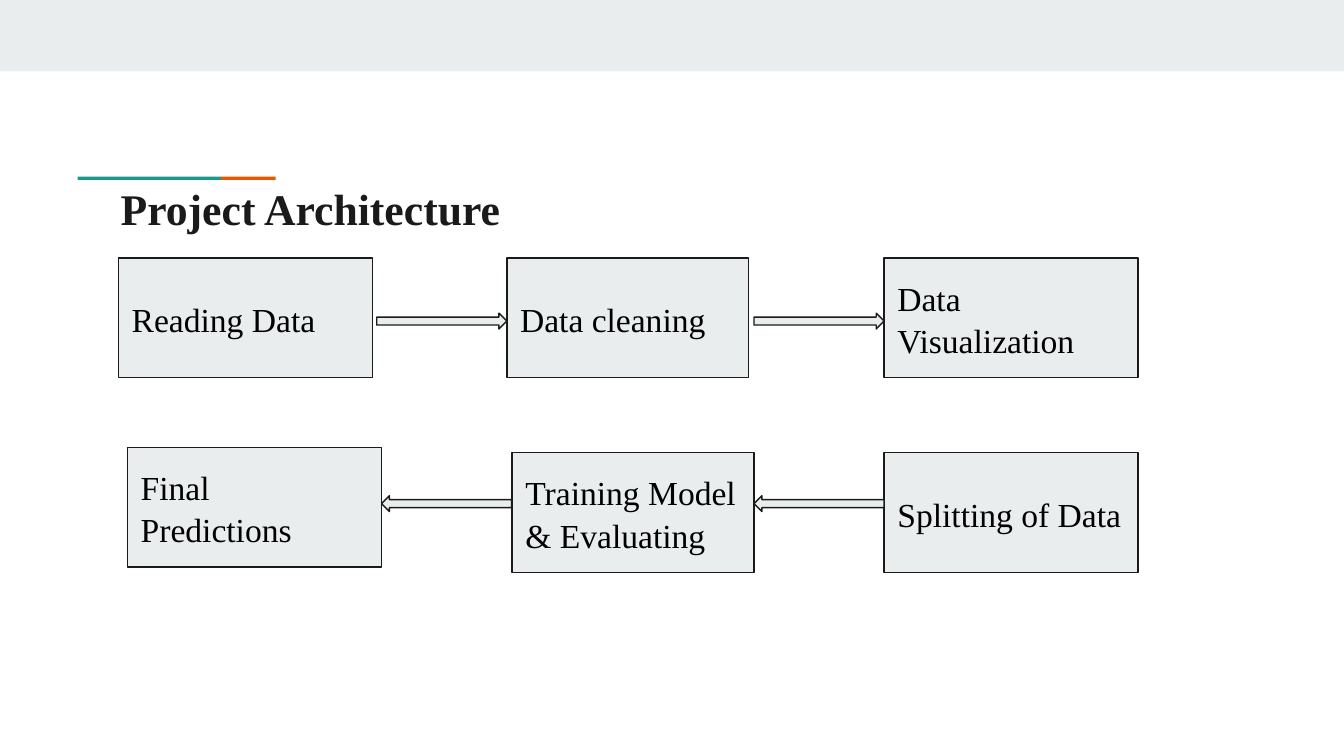
from pptx import Presentation
from pptx.dml.color import RGBColor
from pptx.enum.shapes import MSO_SHAPE
from pptx.enum.text import MSO_ANCHOR, PP_ALIGN
from pptx.util import Cm, Pt

RECTANGLE = MSO_SHAPE.RECTANGLE
RIGHT_ARROW = MSO_SHAPE.RIGHT_ARROW
LEFT_ARROW = MSO_SHAPE.LEFT_ARROW
TOP = MSO_ANCHOR.TOP
MIDDLE = MSO_ANCHOR.MIDDLE
LEFT = PP_ALIGN.LEFT

FONT = "Times New Roman"
PALE, INK, BLACK = "E9EDEE", "1A1A1A", "000000"
TEAL, ORANGE = "1A9988", "EB5600"

SLIDE_WIDTH, SLIDE_HEIGHT = 25.4, 14.29
STEP_HEIGHT = 2.26
ARROW_WIDTH, ARROW_HEIGHT = 2.46, 0.3

# Each step: label, left, top, width in cm, in reading order of the flow
FORWARD_STEPS = [
    ("Reading Data", 2.24, 4.88, 4.8),
    ("Data cleaning", 9.58, 4.88, 4.57),
    ("Data Visualization", 16.71, 4.88, 4.8),
]
RETURN_STEPS = [
    ("Splitting of Data", 16.71, 8.56, 4.8),
    ("Training Model & Evaluating", 9.68, 8.56, 4.57),
    ("Final Predictions", 2.41, 8.46, 4.8),
]
FORWARD_ARROW_TOP, RETURN_ARROW_TOP = 5.92, 9.37


def rgb(hex_color):
    return RGBColor.from_string(hex_color)


def add_block(slide, preset, left, top, width, height, fill, line=None):
    block = slide.shapes.add_shape(preset, Cm(left), Cm(top), Cm(width), Cm(height))
    block.shadow.inherit = False
    block.fill.solid()
    block.fill.fore_color.rgb = rgb(fill)
    if line:
        block.line.color.rgb = rgb(line)
        block.line.width = Pt(0.75)
    else:
        block.line.fill.background()
    return block


def write_text(shape, text, size=18, color=BLACK, bold=False, anchor=MIDDLE, spacing=1.05):
    frame = shape.text_frame
    frame.word_wrap = True
    frame.vertical_anchor = anchor
    frame.margin_left = frame.margin_right = Cm(0.25)
    frame.margin_top = frame.margin_bottom = Cm(0.25)
    paragraph = frame.paragraphs[0]
    paragraph.alignment = LEFT
    paragraph.line_spacing = spacing
    run = paragraph.add_run()
    run.text = text
    run.font.name = FONT
    run.font.size = Pt(size)
    run.font.bold = bold
    run.font.color.rgb = rgb(color)


def add_title(slide, text):
    title = slide.shapes.add_textbox(Cm(2.03), Cm(3.18), Cm(21.36), Cm(1.5))
    write_text(title, text, size=23.4, color=INK, bold=True, anchor=TOP, spacing=1.0)


def add_step(slide, label, left, top, width):
    step = add_block(slide, RECTANGLE, left, top, width, STEP_HEIGHT, PALE, INK)
    write_text(step, label)


def add_flow(slide, steps, arrow, arrow_top):
    """Draw a row of steps with an arrow touching each step after the first."""
    for position, (label, left, top, width) in enumerate(steps):
        if position:
            arrow_left = left - ARROW_WIDTH if arrow == RIGHT_ARROW else left + width
            add_block(slide, arrow, arrow_left, arrow_top, ARROW_WIDTH, ARROW_HEIGHT, PALE, INK)
        add_step(slide, label, left, top, width)


def main():
    deck = Presentation()
    deck.slide_width, deck.slide_height = Cm(SLIDE_WIDTH), Cm(SLIDE_HEIGHT)
    slide = deck.slides.add_slide(deck.slide_layouts[6])

    add_block(slide, RECTANGLE, 0, 0, SLIDE_WIDTH, 1.35, PALE)
    add_block(slide, RECTANGLE, 4.18, 3.34, 1.03, 0.06, ORANGE)
    add_block(slide, RECTANGLE, 1.47, 3.34, 2.71, 0.06, TEAL)
    add_title(slide, "Project Architecture")
    add_flow(slide, FORWARD_STEPS, RIGHT_ARROW, FORWARD_ARROW_TOP)
    add_flow(slide, RETURN_STEPS, LEFT_ARROW, RETURN_ARROW_TOP)

    deck.save("out.pptx")


if __name__ == "__main__":
    main()
